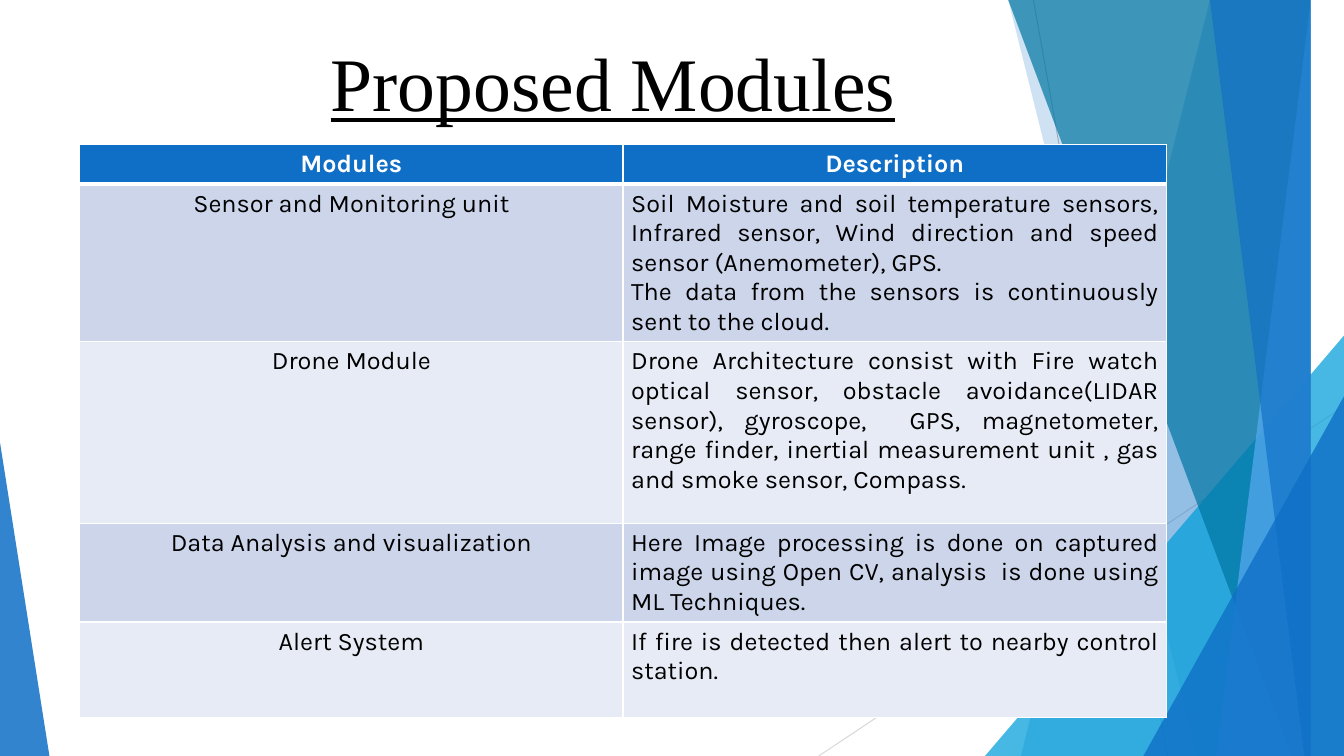
from lxml import etree
from pptx import Presentation
from pptx import util as u
from pptx.dml.color import RGBColor
from pptx.enum import shapes, text
from pptx.oxml import ns

WIDTH, HEIGHT = 13.33, 7.5
COLORS = {
    "blue": "0F6FC6", "cyan": "009DD9", "teal": "0076A3", "sky": "59AAF2",
    "white": "FFFFFF", "black": "000000", "odd": "CCD5EA", "even": "E7EBF5",
    "gray": "BFBFBF", "pale": "D9D9D9",
}
TITLE = "Proposed Modules"
MODULES = [
    ("Modules", ["Description"]),
    ("Sensor and Monitoring unit", [
        "Soil Moisture and soil temperature sensors, Infrared sensor, Wind direction "
        "and speed sensor (Anemometer), GPS. ",
        "The data from the sensors is continuously sent to the cloud."]),
    ("Drone Module", [
        "Drone Architecture consist with Fire watch optical sensor, obstacle "
        "avoidance(LIDAR sensor), gyroscope,  GPS, magnetometer, range finder, "
        "inertial measurement unit , gas and smoke sensor, Compass. "]),
    ("Data Analysis and visualization", [
        "Here Image processing is done on captured image using Open CV, analysis  "
        "is done using ML Techniques."]),
    ("Alert System", ["If fire is detected then alert to nearby control station."]),
]
ROW_HEIGHTS = [0.38, 1.51, 1.8, 0.95, 0.95]
COLUMN_WIDTH = 5.39
LINES = [((10.25, 0), (11.58, HEIGHT), "gray"), ((WIDTH, 4.03), (8.12, HEIGHT), "pale")]
# Bands reach the right edge: (top left x, bottom left x, colour, opacity %)
# Triangles stand on the bottom edge: (left, top, width, apex, colour, opacity %)
FACETS = [
    (12.28, 10.04, "blue", 30),
    (10.5, 11.83, "blue", 20),
    (9.77, 3.33, 3.56, 1, "cyan", 72),
    (10.21, 12.91, "teal", 70),
    (13.03, 11.92, "sky", 70),
    (11.96, 13.18, "blue", 65),
    (11.34, 3.93, 1.99, 1, "blue", 80),
    (0, 4.39, 0.49, 0, "blue", 85),
]


def rgb(name):
    return RGBColor.from_string(COLORS[name])


def write(frame, paragraphs, size=18, font="Karla", color="black", bold=False,
          underline=False, align=text.PP_ALIGN.CENTER):
    frame.word_wrap = True
    for index, words in enumerate(paragraphs):
        paragraph = frame.paragraphs[0] if index == 0 else frame.add_paragraph()
        paragraph.alignment = align
        run = paragraph.add_run()
        run.text = words
        run.font.size = u.Pt(size)
        run.font.name = font
        run.font.bold = bold
        run.font.underline = underline
        run.font.color.rgb = rgb(color)


def add_line(slide, start, end, color):
    line = slide.shapes.add_connector(
        shapes.MSO_CONNECTOR.STRAIGHT, *(u.Inches(value) for value in start + end))
    line.line.color.rgb = rgb(color)
    line.line.width = u.Pt(0.75)
    etree.SubElement(line._element.spPr, ns.qn("a:effectLst"))


def add_facet(slide, *geometry, color, opacity):
    if len(geometry) == 2:
        top_left, bottom_left = geometry
        builder = slide.shapes.build_freeform(top_left, -0.01, scale=u.Inches(1))
        builder.add_line_segments(
            [(WIDTH, -0.01), (WIDTH, HEIGHT), (bottom_left, HEIGHT)], close=True)
        shape = builder.convert_to_shape()
    else:
        left, top, width, apex = geometry
        shape = slide.shapes.add_shape(
            shapes.MSO_SHAPE.ISOSCELES_TRIANGLE, u.Inches(left), u.Inches(top),
            u.Inches(width), u.Inches(HEIGHT - top))
        shape.adjustments[0] = apex
    shape.shadow.inherit = False
    shape.line.fill.background()
    shape.fill.solid()
    shape.fill.fore_color.rgb = rgb(color)
    tint = shape._element.spPr.find(".//" + ns.qn("a:srgbClr"))
    etree.SubElement(tint, ns.qn("a:alpha"), val=str(opacity * 1000))


def set_borders(cell, bottom, top):
    """Draw white borders of 1 pt, with the given widths below and above."""
    properties = cell._tc.get_or_add_tcPr()
    for index, (side, points) in enumerate(zip("LRTB", (1, 1, top, bottom))):
        border = etree.Element(ns.qn("a:ln" + side), w=str(u.Pt(points)))
        fill = etree.SubElement(border, ns.qn("a:solidFill"))
        etree.SubElement(fill, ns.qn("a:srgbClr"), val=COLORS["white"])
        properties.insert(index, border)


def add_modules(slide):
    table = slide.shapes.add_table(
        len(MODULES), 2, u.Inches(0.79), u.Inches(1.43),
        u.Inches(2 * COLUMN_WIDTH), u.Inches(sum(ROW_HEIGHTS))).table
    for column in table.columns:
        column.width = u.Inches(COLUMN_WIDTH)
    for row, (module, description) in enumerate(MODULES):
        table.rows[row].height = u.Inches(ROW_HEIGHTS[row])
        header = row == 0
        for column, paragraphs in enumerate(([module], description)):
            cell = table.cell(row, column)
            cell.margin_left = cell.margin_right = u.Inches(0.08)
            cell.margin_top = cell.margin_bottom = u.Inches(0.05)
            cell.fill.solid()
            cell.fill.fore_color.rgb = rgb("blue" if header else "odd" if row % 2 else "even")
            set_borders(cell, bottom=3 if header else 1, top=3 if row == 1 else 1)
            centred = header or column == 0
            write(cell.text_frame, paragraphs, bold=header,
                  color="white" if header else "black",
                  align=text.PP_ALIGN.CENTER if centred else text.PP_ALIGN.JUSTIFY)


def main():
    presentation = Presentation()
    presentation.slide_width, presentation.slide_height = u.Inches(WIDTH), u.Inches(HEIGHT)
    slide = presentation.slides.add_slide(presentation.slide_layouts[6])
    for start, end, color in LINES:
        add_line(slide, start, end, color)
    for *geometry, color, opacity in FACETS:
        add_facet(slide, *geometry, color=color, opacity=opacity)
    add_modules(slide)
    title = slide.shapes.add_textbox(
        u.Inches(2.34), u.Inches(0.31), u.Inches(7.48), u.Inches(1.01))
    write(title.text_frame, [TITLE], size=54, font="Times New Roman", underline=True)
    presentation.save("out.pptx")


if __name__ == "__main__":
    main()
